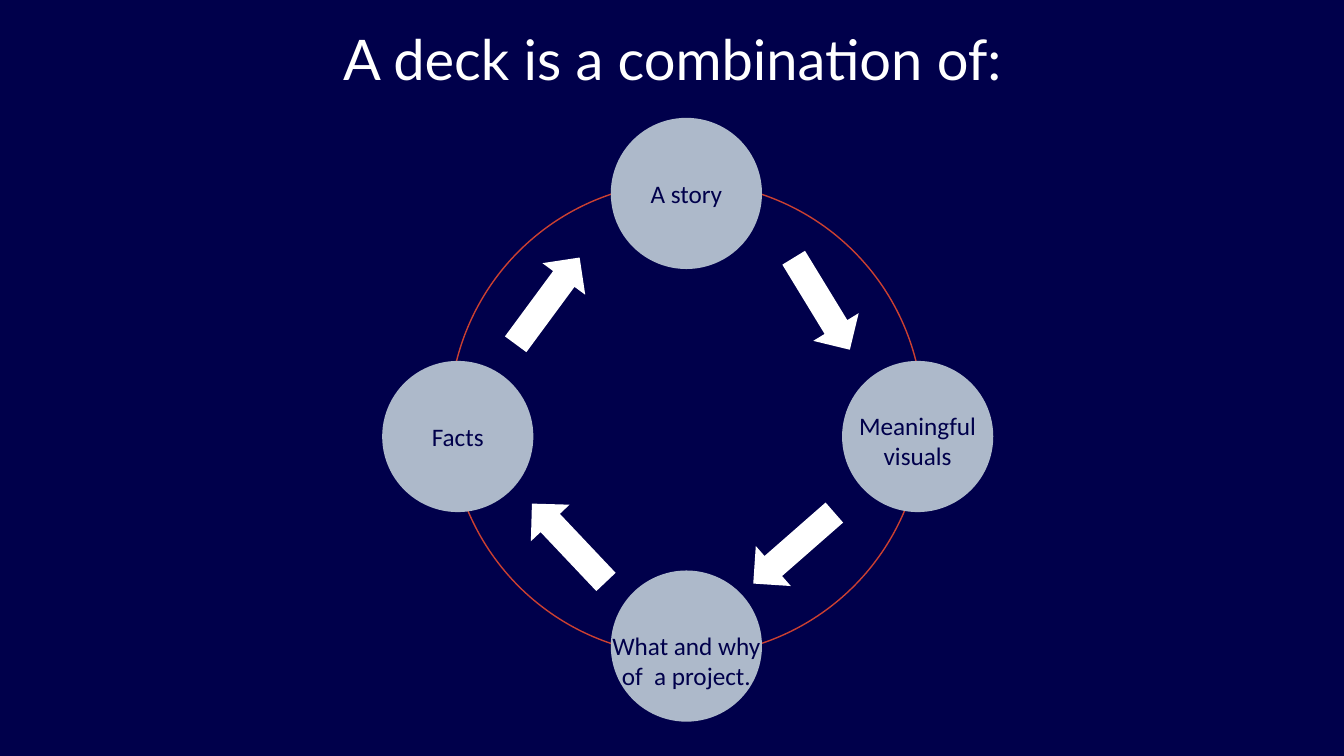
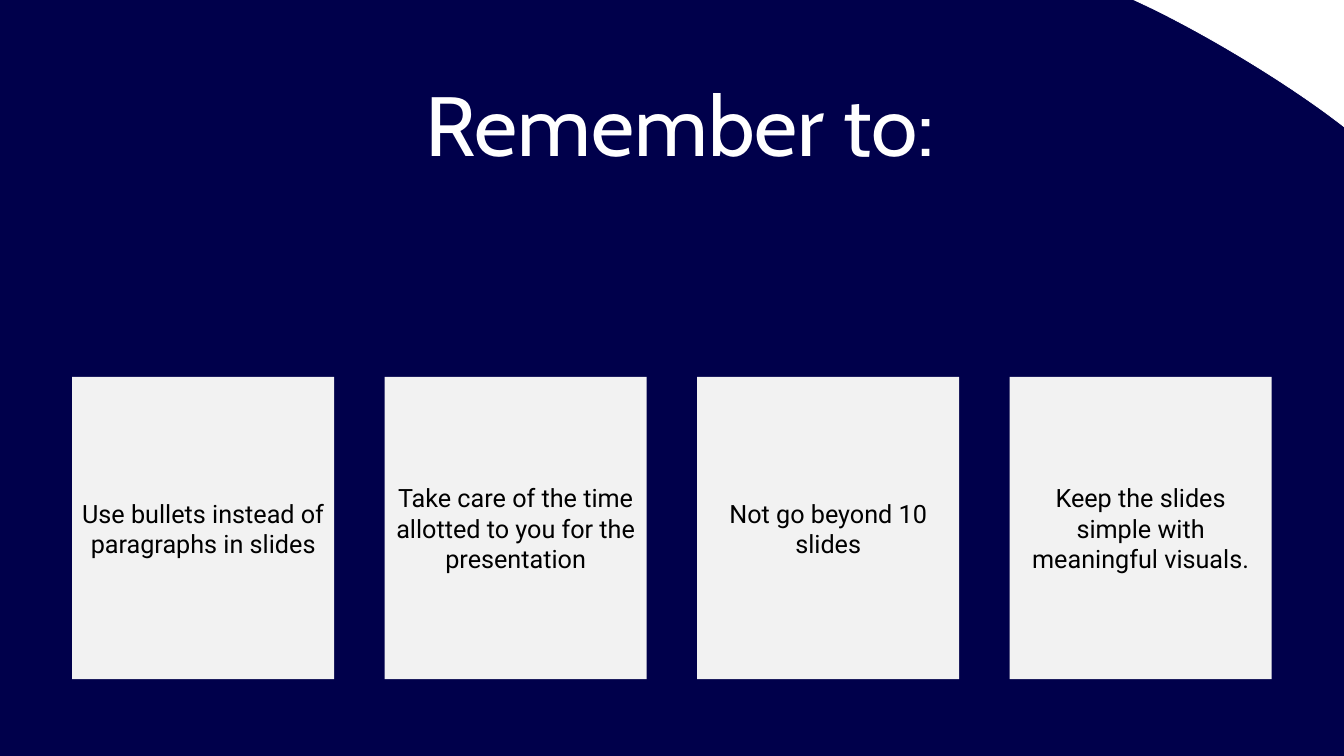
from pptx import Presentation
from pptx.dml.color import RGBColor
from pptx.enum.shapes import MSO_SHAPE
from pptx.enum.text import MSO_ANCHOR, MSO_AUTO_SIZE, PP_ALIGN
from pptx.util import Pt

OVAL = MSO_SHAPE.OVAL
RECTANGLE = MSO_SHAPE.RECTANGLE
DOWN_ARROW = MSO_SHAPE.DOWN_ARROW
STORED_DATA = MSO_SHAPE.FLOWCHART_STORED_DATA
MIDDLE = MSO_ANCHOR.MIDDLE
TOP = MSO_ANCHOR.TOP
FIT_SHAPE = MSO_AUTO_SIZE.SHAPE_TO_FIT_TEXT
CENTER = PP_ALIGN.CENTER

SLIDE_WIDTH, SLIDE_HEIGHT = 960, 540


def color(hex_string):
    return RGBColor.from_string(hex_string)


class Deck:
    """Holds the shared style and the slide being built."""

    NAVY = "00004B"
    WHITE = "FFFFFF"
    BLACK = "000000"
    RING = "CB4031"
    DISC = "ADB9CA"
    CARD = "F2F2F2"
    BODY_SIZE = 18

    def __init__(self):
        self.presentation = Presentation()
        self.presentation.slide_width = Pt(SLIDE_WIDTH)
        self.presentation.slide_height = Pt(SLIDE_HEIGHT)
        self.slide = None

    def new_slide(self):
        blank = self.presentation.slide_layouts[6]
        self.slide = self.presentation.slides.add_slide(blank)
        background = self.slide.background.fill
        background.solid()
        background.fore_color.rgb = color(self.NAVY)

    def shape(self, kind, left, top, width, height, fill=None, line=None,
              line_width=1, rotation=0):
        shape = self.slide.shapes.add_shape(
            kind, Pt(left), Pt(top), Pt(width), Pt(height))
        shape.shadow.inherit = False
        shape.rotation = rotation
        if fill:
            shape.fill.solid()
            shape.fill.fore_color.rgb = color(fill)
        else:
            shape.fill.background()
        if line:
            shape.line.color.rgb = color(line)
            shape.line.width = Pt(line_width)
        else:
            shape.line.fill.background()
        return shape

    def set_text(self, shape, text, font, size, text_color, anchor=MIDDLE):
        """Put centred text into a shape and return its text frame."""
        frame = shape.text_frame
        frame.text = text
        frame.word_wrap = True
        frame.vertical_anchor = anchor
        for paragraph in frame.paragraphs:
            paragraph.alignment = CENTER
            for run in paragraph.runs:
                run.font.name = font
                run.font.size = Pt(size)
                run.font.color.rgb = color(text_color)
        return frame

    def title(self, text, left, top, width, height, font, size, anchor=TOP):
        box = self.slide.shapes.add_textbox(
            Pt(left), Pt(top), Pt(width), Pt(height))
        frame = self.set_text(box, text, font, size, self.WHITE, anchor)
        frame.auto_size = FIT_SHAPE
        return frame

    def disc(self, text, center_x, center_y, text_drop=0):
        """Draw a labelled circle; text_drop moves the label down."""
        diameter = 108
        shape = self.shape(OVAL, center_x - diameter / 2,
                           center_y - diameter / 2,
                           diameter, diameter, self.DISC)
        frame = self.set_text(shape, text, "Calibri", self.BODY_SIZE,
                              self.NAVY)
        frame.word_wrap = False
        frame.margin_left = frame.margin_right = frame.margin_bottom = 0
        frame.margin_top = Pt(2 * text_drop)

    def arrow(self, left, top, rotation):
        self.shape(DOWN_ARROW, left, top, 38, 77, self.WHITE,
                   rotation=rotation)

    def card(self, text, left, top, width, height):
        shape = self.shape(RECTANGLE, left, top, width, height, self.CARD)
        frame = self.set_text(shape, text, "Roboto", self.BODY_SIZE,
                              self.BLACK)
        frame.margin_top = frame.margin_bottom = Pt(7.2)


def build_combination(deck):
    deck.new_slide()
    deck.shape(OVAL, 321, 130, 338.4, 338.4, line=deck.RING)
    deck.title("A deck is a combination of:", 150.5, 13.7, 659.5, 55.4,
               "Lato", 40)
    for text, center_x, center_y, text_drop in (
            ("A story", 490.3, 138.2, 0),
            ("Meaningful\nvisuals", 655.5, 311.8, 3),
            ("What and why\nof  a project.", 490.3, 461.5, 10),
            ("Facts", 327, 311.8, 0)):
        deck.disc(text, center_x, center_y, text_drop)
    for left, top, rotation in ((568, 178.5, 328.6), (548, 353, 48.8),
                                (387.4, 349.2, 136.6), (372.2, 176.4, 216.4)):
        deck.arrow(left, top, rotation)


def build_reminders(deck):
    deck.new_slide()
    reminders = ("Use bullets instead of paragraphs in slides",
                 "Take care of the time allotted to you for the presentation",
                 "Not go beyond 10 slides",
                 "Keep the slides simple with meaningful visuals.")
    card_width, gap = 187.2, 36
    step = card_width + gap
    first_left = (SLIDE_WIDTH - len(reminders) * step + gap) / 2
    for index, text in enumerate(reminders):
        deck.card(text, first_left + index * step, 269.2, card_width, 216)
    deck.shape(STORED_DATA, 851, -121.7, 106.6, 263.5, deck.WHITE,
               deck.WHITE, 0.5, rotation=121)
    frame = deck.title("Remember to:", 115.2, 43.9, 741.6, 80.6,
                       "Cabin", 60, MIDDLE)
    paragraph = frame.paragraphs[0]
    paragraph.line_spacing = 1.1
    paragraph.space_before = Pt(20)


def main():
    deck = Deck()
    build_combination(deck)
    build_reminders(deck)
    deck.presentation.save("out.pptx")


if __name__ == "__main__":
    main()
